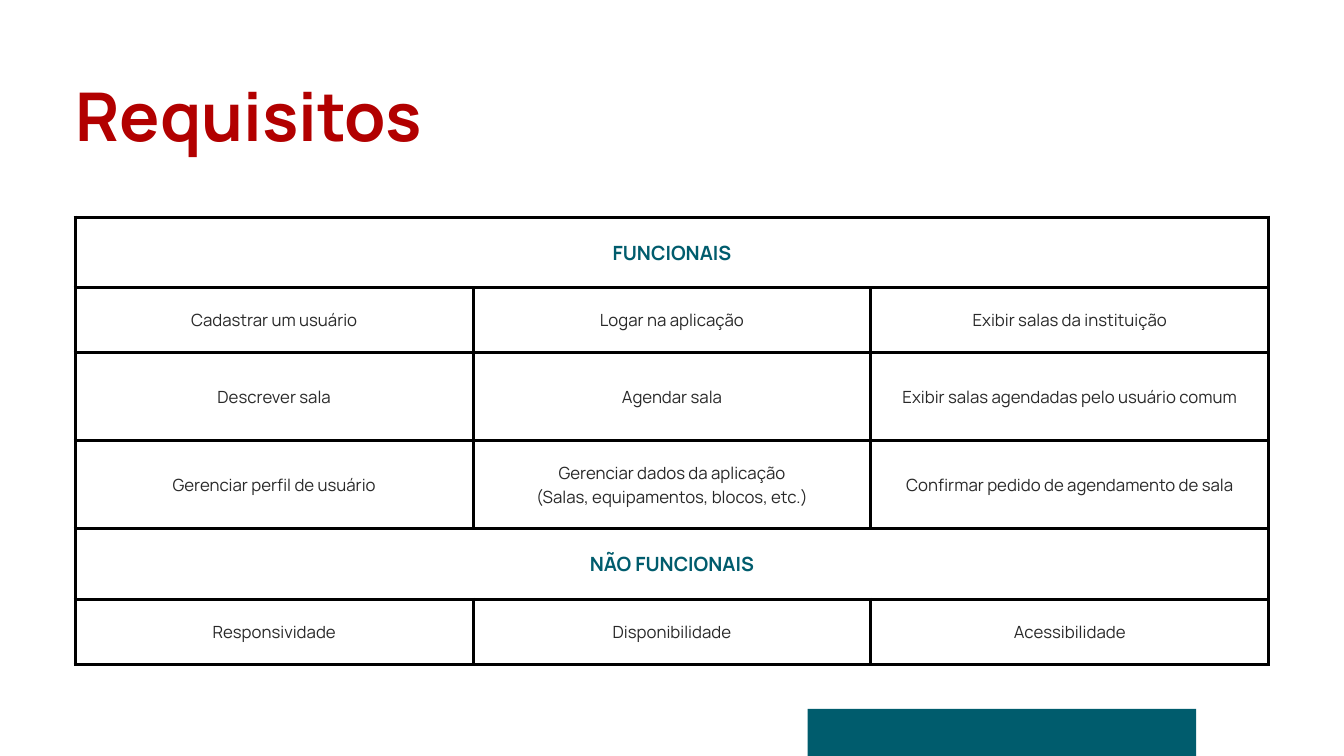
from lxml import etree
from pptx import Presentation
from pptx.dml.color import RGBColor
from pptx.enum.shapes import MSO_SHAPE
from pptx.enum.text import MSO_ANCHOR, PP_ALIGN
from pptx.oxml.ns import qn
from pptx.util import Inches, Pt

RED = RGBColor(0xB2, 0x00, 0x00)
TEAL = RGBColor(0x00, 0x5C, 0x6D)
DARK_GRAY = RGBColor(0x29, 0x29, 0x29)
BLACK = RGBColor(0x00, 0x00, 0x00)
WHITE = RGBColor(0xFF, 0xFF, 0xFF)

FONT = "Manrope"
LEFT = Inches(1.12)
COLUMN_WIDTH = Inches(5.92)
CELL_MARGIN = Inches(0.21)

# Row height in inches and the texts; a single text spans the whole row.
REQUIREMENTS = [
    (1.05, ["FUNCIONAIS"]),
    (0.97, ["Cadastrar um usuário", "Logar na aplicação",
            "Exibir salas da instituição"]),
    (1.31, ["Descrever sala", "Agendar sala",
            "Exibir salas agendadas pelo usuário comum"]),
    (1.31, ["Gerenciar perfil de usuário",
            "Gerenciar dados da aplicação\n(Salas, equipamentos, blocos, etc.)",
            "Confirmar pedido de agendamento de sala"]),
    (1.05, ["NÃO FUNCIONAIS"]),
    (0.97, ["Responsividade", "Disponibilidade", "Acessibilidade"]),
]


def format_text(text_frame, size, color, bold, alignment):
    for paragraph in text_frame.paragraphs:
        paragraph.alignment = alignment
        paragraph.line_spacing = Pt(size * 1.4)
        for run in paragraph.runs:
            run.font.name = FONT
            run.font.size = Pt(size)
            run.font.bold = bold
            run.font.color.rgb = color


def add_borders(cell, color, width):
    properties = cell._tc.get_or_add_tcPr()
    for side in ("a:lnL", "a:lnR", "a:lnT", "a:lnB"):
        line = etree.SubElement(properties, qn(side), w=str(width))
        solid = etree.SubElement(line, qn("a:solidFill"))
        etree.SubElement(solid, qn("a:srgbClr"), val=str(color))


presentation = Presentation()
presentation.slide_width = Inches(20)
presentation.slide_height = Inches(11.25)
slide = presentation.slides.add_slide(presentation.slide_layouts[6])
slide.background.fill.solid()
slide.background.fill.fore_color.rgb = WHITE

# Teal band running off the bottom edge
band = slide.shapes.add_shape(
    MSO_SHAPE.RECTANGLE, Inches(12.02), Inches(10.55), Inches(5.78), Inches(1.37))
band.shadow.inherit = False
band.fill.solid()
band.fill.fore_color.rgb = TEAL
band.line.fill.background()

# Title
title = slide.shapes.add_textbox(LEFT, Inches(0.91), Inches(5.37), Inches(1.41)).text_frame
title.word_wrap = True
title.margin_left = title.margin_right = title.margin_top = title.margin_bottom = 0
title.text = "Requisitos"
format_text(title, 72, RED, True, PP_ALIGN.LEFT)

# Requirements table
table_height = Inches(sum(height for height, _ in REQUIREMENTS))
table = slide.shapes.add_table(
    len(REQUIREMENTS), 3, LEFT, Inches(3.23), COLUMN_WIDTH * 3, table_height).table
table.first_row = False
table.horz_banding = False
for column in table.columns:
    column.width = COLUMN_WIDTH

for row_index, (height, texts) in enumerate(REQUIREMENTS):
    table.rows[row_index].height = Inches(height)
    is_heading = len(texts) == 1
    if is_heading:
        table.cell(row_index, 0).merge(table.cell(row_index, 2))
    for cell in table.rows[row_index].cells:
        add_borders(cell, BLACK, Pt(3.75))
        cell.fill.background()
    for column_index, text in enumerate(texts):
        cell = table.cell(row_index, column_index)
        cell.margin_left = cell.margin_right = CELL_MARGIN
        cell.margin_top = cell.margin_bottom = CELL_MARGIN
        cell.vertical_anchor = MSO_ANCHOR.MIDDLE
        cell.text_frame.text = text
        if is_heading:
            format_text(cell.text_frame, 21, TEAL, True, PP_ALIGN.CENTER)
        else:
            format_text(cell.text_frame, 18, DARK_GRAY, False, PP_ALIGN.CENTER)

presentation.save("out.pptx")
